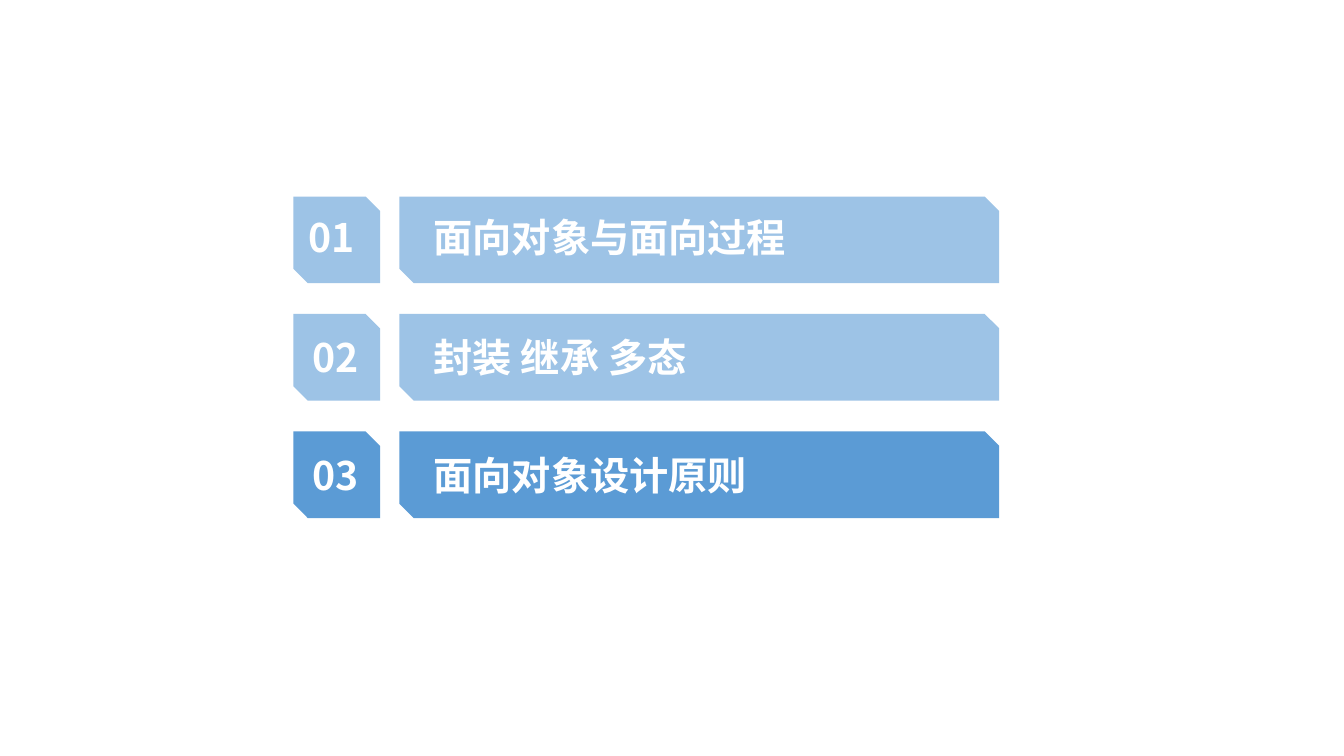
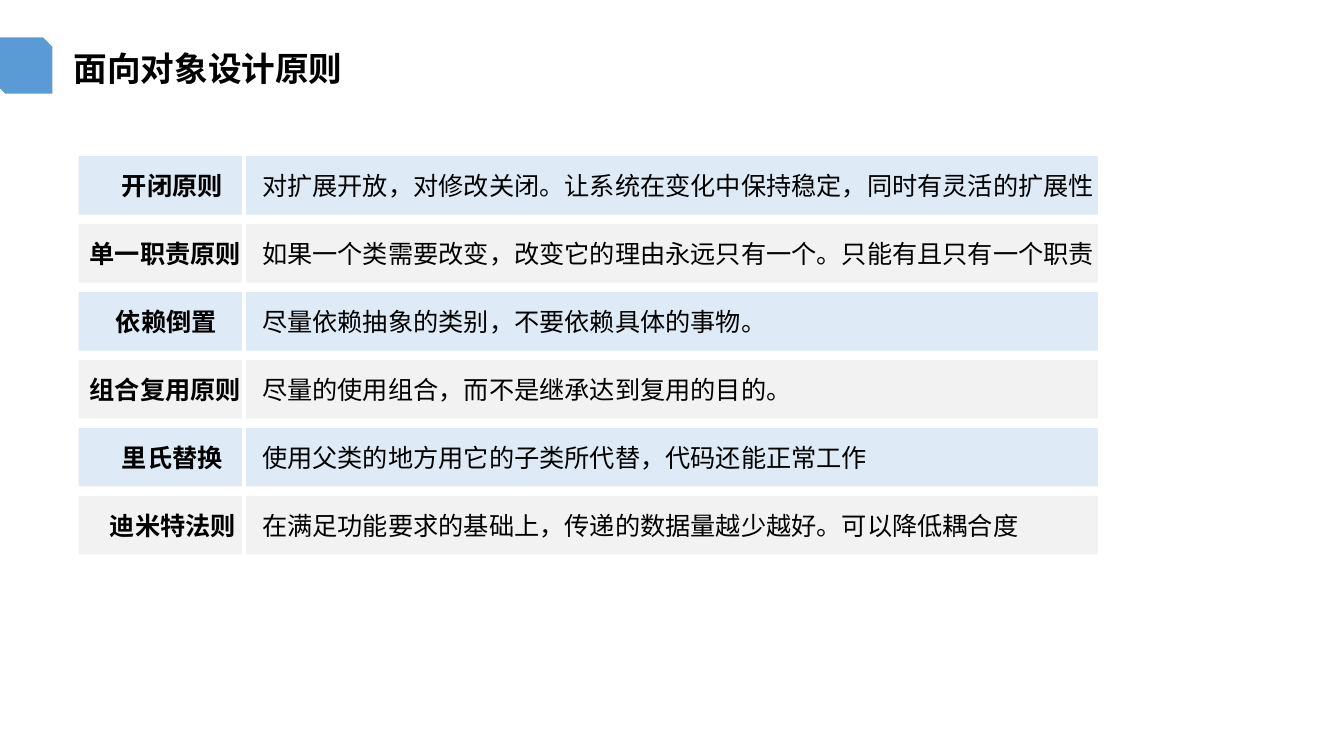
from lxml.etree import SubElement
from pptx import Presentation
from pptx.dml.color import RGBColor
from pptx.enum.shapes import MSO_SHAPE
from pptx.enum.text import MSO_ANCHOR, MSO_AUTO_SIZE, PP_ALIGN
from pptx.oxml.ns import qn
from pptx.util import Inches, Pt

FONT = "Noto Sans CJK SC"
COLORS = {
    "accent": "5B9BD5",
    "muted": "9DC3E6",
    "pale": "DEEBF7",
    "grey": "F2F2F2",
    "white": "FFFFFF",
    "black": "000000",
}
TITLE_ONLY, BLANK = 5, 6

# Agenda: number, left inset of the number, upward shift, heading, colour
AGENDA = [
    ("01", 0.08, 0.03, "面向对象与面向过程", "muted"),
    ("02", 0.12, 0, "封装 继承 多态", "muted"),
    ("03", 0.12, 0, "面向对象设计原则", "accent"),
]

# Principles: name, left inset of the name, explanation
PRINCIPLES = [
    ("开闭原则", 0.43, "对扩展开放，对修改关闭。让系统在变化中保持稳定，同时有灵活的扩展性"),
    ("单一职责原则", 0.11, "如果一个类需要改变，改变它的理由永远只有一个。只能有且只有一个职责"),
    ("依赖倒置", 0.37, "尽量依赖抽象的类别，不要依赖具体的事物。"),
    ("组合复用原则", 0.11, "尽量的使用组合，而不是继承达到复用的目的。"),
    ("里氏替换", 0.43, "使用父类的地方用它的子类所代替，代码还能正常工作"),
    ("迪米特法则", 0.31, "在满足功能要求的基础上，传递的数据量越少越好。可以降低耦合度"),
]


def color(name):
    return RGBColor.from_string(COLORS[name])


def write_text(shape, text, size, text_color, bold=False, inset=0.0, lift=0.0):
    """Write one left-aligned run, centred vertically and raised by lift."""
    frame = shape.text_frame
    frame.word_wrap = True
    frame.auto_size = MSO_AUTO_SIZE.NONE
    frame.vertical_anchor = MSO_ANCHOR.MIDDLE
    frame.margin_left = Inches(inset)
    frame.margin_right = frame.margin_top = 0
    frame.margin_bottom = Inches(2 * lift)
    paragraph = frame.paragraphs[0]
    paragraph.alignment = PP_ALIGN.LEFT
    run = paragraph.add_run()
    run.text = text
    run.font.size = Pt(size)
    run.font.bold = bold
    run.font.name = FONT
    run.font.color.rgb = color(text_color)
    # East Asian text takes its font from a separate element
    SubElement(run.font._element, qn("a:ea")).set("typeface", FONT)


def add_block(slide, kind, left, top, width, height, fill):
    """Add a plain filled shape without outline or shadow."""
    shape = slide.shapes.add_shape(
        kind, Inches(left), Inches(top), Inches(width), Inches(height))
    shape.shadow.inherit = False
    shape.fill.solid()
    shape.fill.fore_color.rgb = color(fill)
    shape.line.fill.background()
    return shape


def add_title(slide, text):
    """Place the corner marker and the slide title."""
    add_block(slide, MSO_SHAPE.SNIP_2_DIAG_RECTANGLE,
              -0.04, 0.37, 0.56, 0.56, "accent")
    title = slide.shapes.title
    title.left, title.top = Inches(0.63), Inches(0.43)
    title.width, title.height = Inches(6), Inches(0.5)
    write_text(title, text, 24, "black", bold=True, inset=0.1)


def add_agenda_row(slide, top, entry):
    number, number_inset, lift, heading, fill = entry
    side = 0.86
    cells = [(2.91, side, number, number_inset), (3.96, 5.95, heading, 0.27)]
    for left, width, text, inset in cells:
        block = add_block(slide, MSO_SHAPE.SNIP_2_DIAG_RECTANGLE,
                          left, top, width, side, fill)
        write_text(block, text, 28, "white", bold=True, inset=inset, lift=lift)


def add_principle_row(slide, top, entry, fill):
    name, name_inset, explanation = entry
    cells = [(0.78, 1.62, name, name_inset, True),
             (2.44, 8.45, explanation, 0.16, False)]
    for left, width, text, inset, bold in cells:
        block = add_block(slide, MSO_SHAPE.RECTANGLE,
                          left, top, width, 0.58, fill)
        write_text(block, text, 18, "black", bold=bold, inset=inset)


def build_agenda(presentation):
    slide = presentation.slides.add_slide(presentation.slide_layouts[BLANK])
    first_top, last_top = 1.95, 4.28
    pitch = (last_top - first_top) / (len(AGENDA) - 1)
    for row, entry in enumerate(AGENDA):
        add_agenda_row(slide, first_top + row * pitch, entry)


def build_principles(presentation):
    slide = presentation.slides.add_slide(presentation.slide_layouts[TITLE_ONLY])
    add_title(slide, "面向对象设计原则")
    first_top, last_top = 1.55, 4.92
    pitch = (last_top - first_top) / (len(PRINCIPLES) - 1)
    for row, entry in enumerate(PRINCIPLES):
        fill = "grey" if row % 2 else "pale"
        add_principle_row(slide, first_top + row * pitch, entry, fill)


def main():
    presentation = Presentation()
    presentation.slide_width = Inches(13.33)
    presentation.slide_height = Inches(7.5)
    build_agenda(presentation)
    build_principles(presentation)
    presentation.save("out.pptx")


if __name__ == "__main__":
    main()
